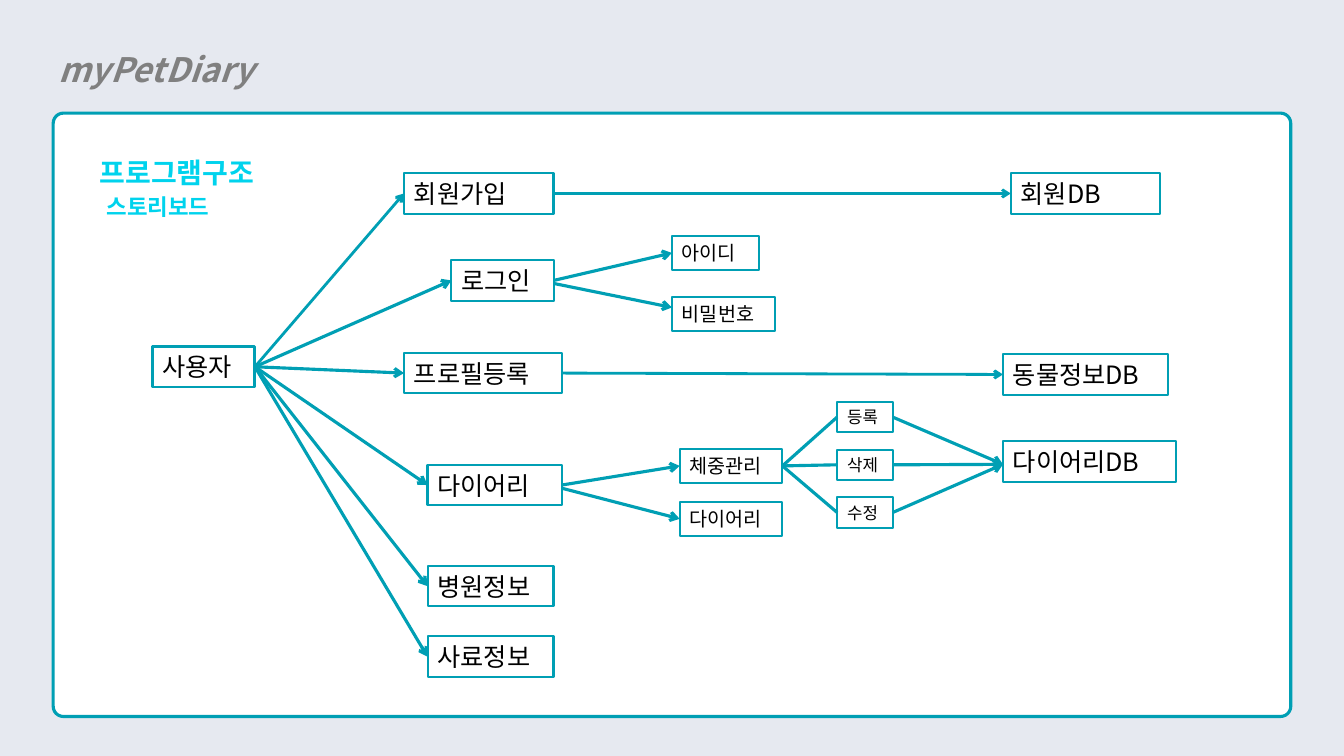
import pptx
import pptx.util
import pptx.dml.color
import pptx.enum.shapes
import pptx.enum.text
import pptx.oxml.ns
import lxml.etree

Pt = pptx.util.Pt
Form = pptx.enum.shapes.MSO_SHAPE
Anchor = pptx.enum.text.MSO_ANCHOR
LEFT, RIGHT = 1, 3  # connection sites of a rectangle


def color(code):
    """Turn a hex string into a colour."""
    return pptx.dml.color.RGBColor.from_string(code)


def write(frame, text, font, size=18, ink="000000", bold=False, slant=False,
          lead=1.0, anchor=Anchor.TOP, wrap=True):
    """Put one formatted, left-aligned paragraph into a text frame."""
    frame.word_wrap = wrap
    frame.auto_size = pptx.enum.text.MSO_AUTO_SIZE.NONE
    frame.vertical_anchor = anchor
    para = frame.paragraphs[0]
    para.alignment = pptx.enum.text.PP_ALIGN.LEFT
    para.line_spacing = lead
    para.space_before = Pt(0)
    run = para.add_run()
    run.text = text
    run.font.name = font
    run.font.size = Pt(size)
    run.font.bold = bold
    run.font.italic = slant
    run.font.color.rgb = color(ink)
    east = lxml.etree.SubElement(run.font._element, pptx.oxml.ns.qn("a:ea"))
    east.set("typeface", font)


class Board:
    """Style of the diagram and the slide it is drawn on."""
    font = "Noto Sans CJK KR"
    teal = "009FB4"
    cyan = "00D3ED"
    tall = {18: 29, 14: 24.4, 12: 21.8}  # box height by text size

    def __init__(self, deck):
        """Add a title-only slide with a plain background."""
        self.slide = deck.slides.add_slide(deck.slide_layouts[5])
        fill = self.slide.background.fill
        fill.solid()
        fill.fore_color.rgb = color("E6E9F0")

    def title(self, text, x, y, w, h, **form):
        """Move and fill the title placeholder."""
        head = self.slide.shapes.title
        head.left, head.top, head.width, head.height = map(Pt, (x, y, w, h))
        write(head.text_frame, text, self.font, **form)

    def label(self, text, x, y, w, h, **form):
        """Add a text box."""
        box = self.slide.shapes.add_textbox(*map(Pt, (x, y, w, h)))
        write(box.text_frame, text, self.font, **form)

    def shape(self, kind, x, y, w, h, line):
        """Add an outlined shape without fill or shadow."""
        item = self.slide.shapes.add_shape(kind, *map(Pt, (x, y, w, h)))
        item.shadow.inherit = False
        item.fill.background()
        item.line.color.rgb = color(self.teal)
        item.line.width = Pt(line)
        return item

    def panel(self, x, y, w, h):
        """Add the white rounded panel."""
        item = self.shape(Form.ROUNDED_RECTANGLE, x, y, w, h, 2.25)
        item.adjustments[0] = 0.017
        item.fill.solid()
        item.fill.fore_color.rgb = color("FFFFFF")

    def node(self, text, x, y, w, size=18, line=1.5):
        """Add a named box of the diagram."""
        item = self.shape(Form.RECTANGLE, x, y, w, self.tall[size], line)
        write(item.text_frame, text, self.font, size=size,
              anchor=Anchor.MIDDLE, wrap=False)
        return item

    def link(self, start, end, line=2.25, arrow=True, out=0, into=0):
        """Join two boxes; out and into shift the ends off mid-side."""
        wire = self.slide.shapes.add_connector(
            pptx.enum.shapes.MSO_CONNECTOR.STRAIGHT,
            start.left + start.width, start.top + start.height // 2 + Pt(out),
            end.left, end.top + end.height // 2 + Pt(into))
        if not out:
            wire.begin_connect(start, RIGHT)
        if not into:
            wire.end_connect(end, LEFT)
        wire.line.color.rgb = color(self.teal)
        wire.line.width = Pt(line)
        if arrow:
            tip = lxml.etree.SubElement(wire.line._get_or_add_ln(),
                                        pptx.oxml.ns.qn("a:tailEnd"))
            tip.set("type", "arrow")
        lxml.etree.SubElement(wire._element.spPr,
                              pptx.oxml.ns.qn("a:effectLst"))


deck = pptx.Presentation()
deck.slide_width, deck.slide_height = Pt(960), Pt(540)
board = Board(deck)

board.panel(38, 80.8, 884, 431)
board.title("myPetDiary", 34.6, 16.6, 344, 45.4, size=24, ink="808080",
            bold=True, slant=True, lead=1.5)
board.label("프로그램구조", 64, 95.8, 236, 65.5, size=20, ink=board.cyan,
            bold=True, lead=1.5)
board.label("스토리보드", 69.2, 134.6, 191.5, 26.6, size=16, ink=board.cyan,
            bold=True)

# Main functions of the user
user = board.node("사용자", 108.7, 247.5, 73.4, line=2)
join = board.node("회원가입", 288.6, 123.7, 106.8)
login = board.node("로그인", 322.4, 185.8, 73.2)
pet = board.node("프로필등록", 288.6, 252, 112.6)
diary = board.node("다이어리", 305.4, 332, 95.8)
clinic = board.node("병원정보", 305.4, 404.2, 90)
feed = board.node("사료정보", 305.4, 454.6, 90)

# Details
name = board.node("아이디", 480, 168.5, 61.9, size=14)
code = board.node("비밀번호", 480, 212, 73.4, size=14)
weight = board.node("체중관리", 485.5, 320.6, 73.4, size=14)
entry = board.node("다이어리", 485.5, 358.4, 73.4, size=14)
acts = [board.node(text, 598, 287 + 34.1 * row, 39.6, size=12)
        for row, text in enumerate(("등록", "삭제", "수정"))]

# Databases
users = board.node("회원DB", 722, 123.7, 106.8)
pets = board.node("동물정보DB", 716.4, 253, 118)
notes = board.node("다이어리DB", 716.4, 315.2, 123.8)

board.link(user, join, line=2)
for goal in (login, pet, diary, clinic, feed):
    board.link(user, goal)
board.link(join, users, line=2)
board.link(pet, pets, line=2)
board.link(login, name)
board.link(login, code, out=2.2, into=-4.6)
board.link(diary, weight)
board.link(diary, entry, out=2.2)
for act in acts:
    board.link(weight, act, arrow=False)
    board.link(act, notes, into=2)

deck.save("out.pptx")
